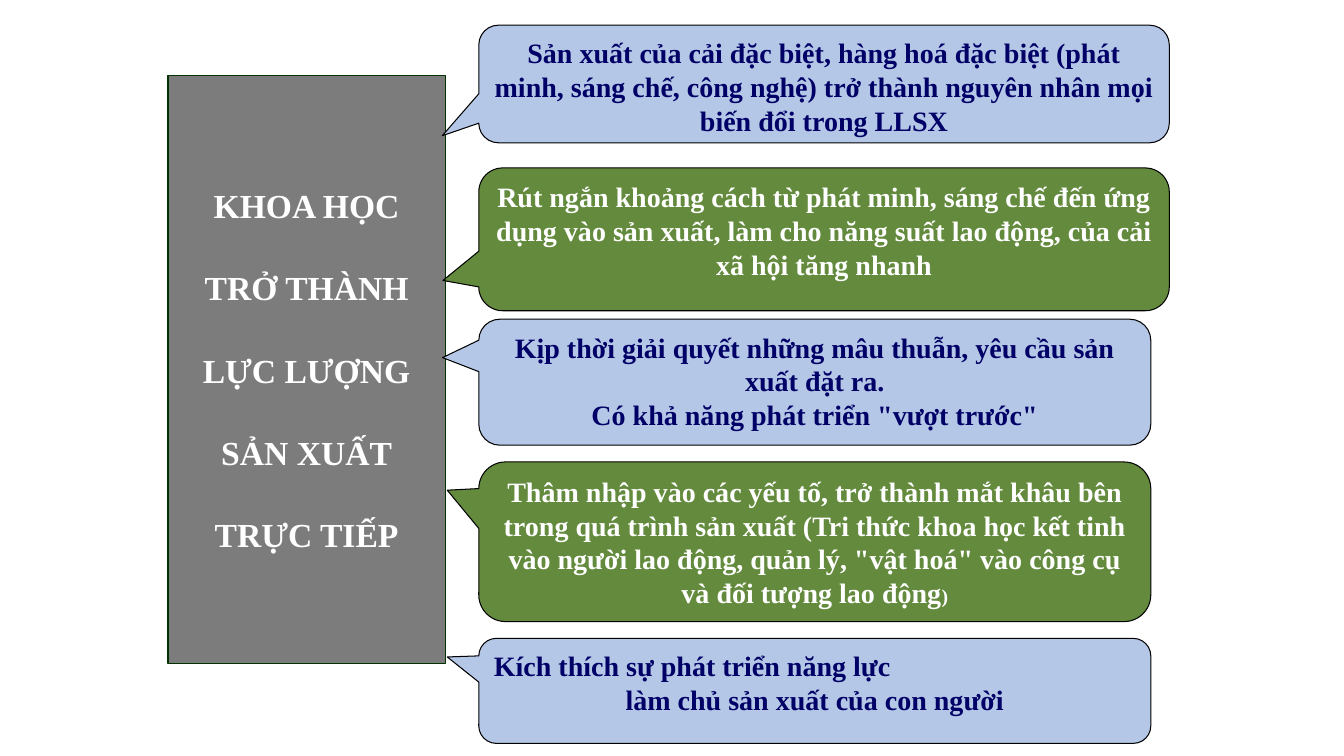
from dataclasses import dataclass

from lxml.etree import SubElement
from pptx import Presentation
from pptx.dml.color import RGBColor
from pptx.enum.shapes import MSO_SHAPE
from pptx.enum.text import MSO_ANCHOR, PP_ALIGN
from pptx.oxml.ns import qn
from pptx.shapes.autoshape import Shape
from pptx.util import Inches, Pt

COLS, ROWS = 160, 90
PALE, GREEN, GREY = "B4C7E7", "336600", "7C7C7C"
NAVY, WHITE, BLACK, DARK_GREEN = "000066", "FFFFFF", "000000", "003300"
CENTER, LEFT = PP_ALIGN.CENTER, PP_ALIGN.LEFT

prs = Presentation()
prs.slide_width, prs.slide_height = Inches(13.33), Inches(7.5)
s = prs.slides.add_slide(prs.slide_layouts[6])


@dataclass
class Line:
    text: str
    align: PP_ALIGN = CENTER
    tail: str = ""


@dataclass
class Callout:
    row: float
    rows: float
    cols: float
    tip: tuple[float, float]
    green: bool
    lines: list[Line]


PANEL = [Line(t) for t in ("KHOA HỌC", "TRỞ THÀNH", "LỰC LƯỢNG", "SẢN XUẤT", "TRỰC TIẾP")]
CALLOUTS = [
    Callout(3, 14, 82.2, (-0.553, 0.44), False, [
        Line("Sản xuất của cải đặc biệt, hàng hoá đặc biệt (phát minh, sáng chế, "
             "công nghệ) trở thành nguyên nhân mọi biến đổi trong LLSX")]),
    Callout(20, 17, 82.2, (-0.552, 0.288), True, [
        Line("Rút ngắn khoảng cách từ phát minh, sáng chế đến ứng dụng vào sản xuất, "
             "làm cho năng suất lao động, của cải xã hội tăng nhanh")]),
    Callout(38, 15, 80, (-0.554, -0.195), False, [
        Line("Kịp thời giải quyết những mâu thuẫn, yêu cầu sản xuất đặt ra."),
        Line('Có khả năng phát triển "vượt trước"')]),
    Callout(55, 19, 80, (-0.547, -0.323), True, [
        Line("Thâm nhập vào các yếu tố, trở thành mắt khâu bên trong quá trình sản xuất "
             "(Tri thức khoa học kết tinh vào người lao động, quản lý, "
             '"vật hoá" vào công cụ và đối tượng lao động', tail=")")]),
    Callout(76, 12.5, 80, (-0.547, -0.323), False, [
        Line("Kích thích sự phát triển năng lực", LEFT),
        Line("làm chủ sản xuất của con người")]),
]


def rgb(color: str) -> RGBColor:
    """Turn a hex string into a colour."""
    return RGBColor.from_string(color)


def add_box(kind: MSO_SHAPE, col: float, row: float, cols: float, rows: float,
            fill: str, line: str) -> Shape:
    """Add a filled, outlined shape placed on the grid."""
    w, h = prs.slide_width / COLS, prs.slide_height / ROWS
    sp = s.shapes.add_shape(kind, round(col * w), round(row * h), round(cols * w), round(rows * h))
    sp.shadow.inherit = False
    sp.fill.solid()
    sp.fill.fore_color.rgb = rgb(fill)
    sp.line.color.rgb = rgb(line)
    sp.line.width = Pt(0.75)
    return sp


def set_alpha(sp: Shape, percent: int) -> None:
    """Make the shape's fill partly transparent."""
    color = sp.fill._xPr.find(qn("a:solidFill"))[0]
    SubElement(color, qn("a:alpha")).set("val", str(percent * 1000))


def write(sp: Shape, lines: list[Line], size: int, color: str, gap: int = 0) -> None:
    """Write bold lines into the shape, with a gap before all but the first."""
    tf = sp.text_frame
    for i, line in enumerate(lines):
        p = tf.add_paragraph() if i else tf.paragraphs[0]
        p.alignment = line.align
        p.space_before = Pt(gap if i else 0)
        for text, points in ((line.text, size), (line.tail, 14)):
            if not text:
                continue
            r = p.add_run()
            r.text = text
            r.font.color.rgb = rgb(color)
            for name, value in {"name": "Times New Roman", "size": Pt(points), "bold": True}.items():
                setattr(r.font, name, value)


def add_callout(c: Callout) -> None:
    """Add one callout that points at the panel."""
    sp = add_box(MSO_SHAPE.ROUNDED_RECTANGULAR_CALLOUT, 57, c.row, c.cols, c.rows,
                 GREEN if c.green else PALE, BLACK)
    for i, value in enumerate((*c.tip, 0.167)):
        sp.adjustments[i] = value
    if c.green:
        set_alpha(sp, 76)
    sp.text_frame.word_wrap = True
    sp.text_frame.vertical_anchor = MSO_ANCHOR.TOP
    write(sp, c.lines, 20, WHITE if c.green else NAVY)


def main() -> None:
    """Build the slide and save it."""
    panel = add_box(MSO_SHAPE.RECTANGLE, 20, 9, 33, 70, GREY, DARK_GREEN)
    panel.text_frame.word_wrap = False
    panel.text_frame.vertical_anchor = MSO_ANCHOR.MIDDLE
    write(panel, PANEL, 24, WHITE, gap=30)
    for c in CALLOUTS:
        add_callout(c)
    prs.save("out.pptx")


if __name__ == "__main__":
    main()
